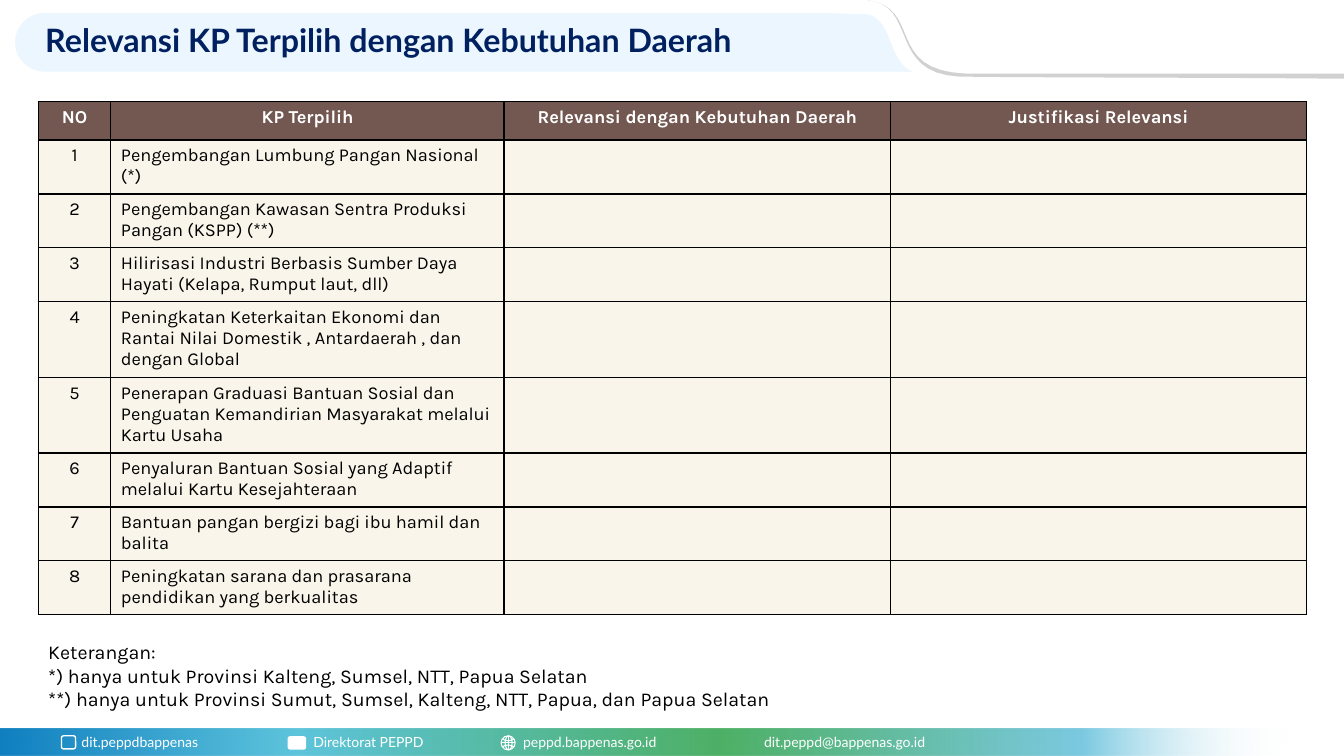
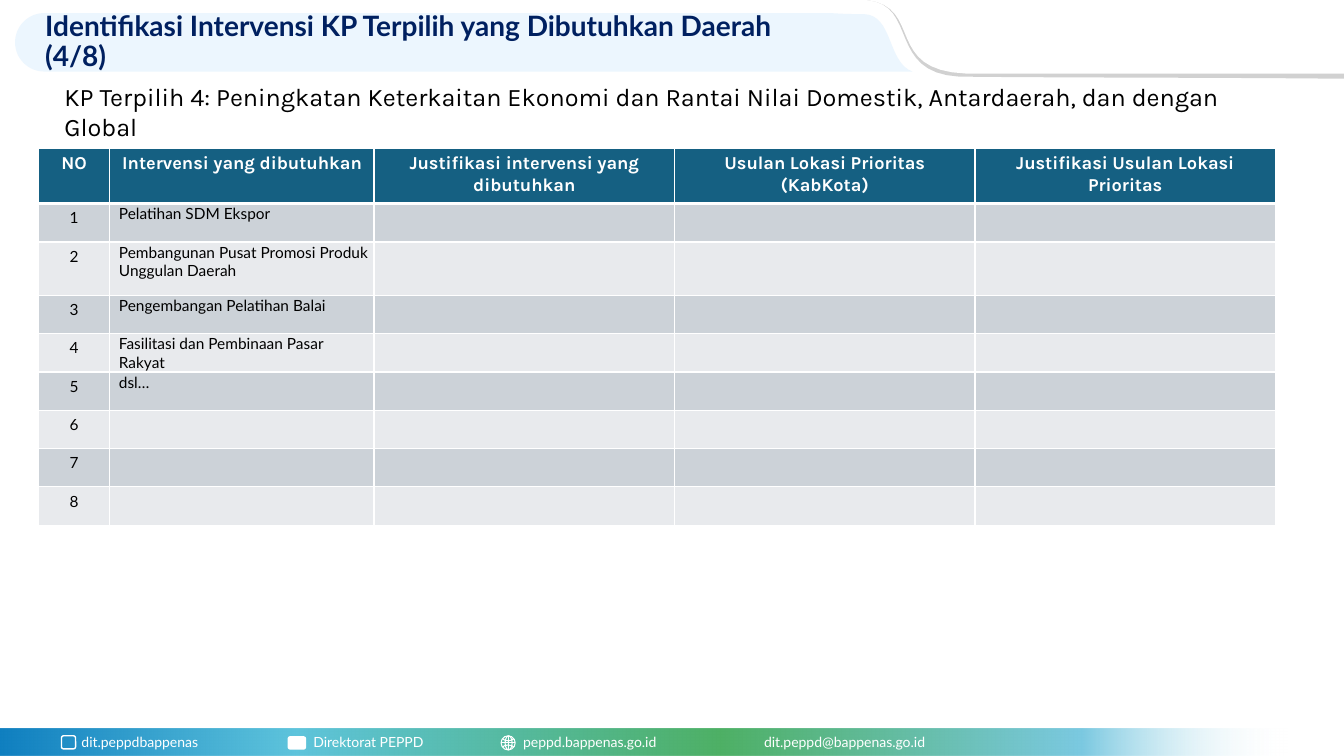
"""Build two slides on selected priority activities and the regional interventions they need."""
from dataclasses import dataclass

from lxml.etree import SubElement
from pptx import Presentation
from pptx.dml.color import RGBColor
from pptx.enum.shapes import MSO_CONNECTOR, MSO_SHAPE
from pptx.enum.text import MSO_ANCHOR, PP_ALIGN
from pptx.oxml.ns import qn
from pptx.shapes.autoshape import Shape
from pptx.slide import Slide
from pptx.table import _Cell
from pptx.util import Pt

PX = 9144
SLIDE_WIDTH, SLIDE_HEIGHT = 1333, 750

WHITE = RGBColor(0xFF, 0xFF, 0xFF)
BLACK = RGBColor(0x00, 0x00, 0x00)
NAVY = RGBColor(0x00, 0x20, 0x60)
PALE_BLUE = RGBColor(0xEC, 0xF6, 0xFE)
GREY = RGBColor(0xD1, 0xD1, 0xD1)
BROWN = RGBColor(0x73, 0x57, 0x51)
CREAM = RGBColor(0xFA, 0xF5, 0xEA)
TEAL = RGBColor(0x15, 0x60, 0x82)
DARK_STRIPE = RGBColor(0xCC, 0xD2, 0xD8)
LIGHT_STRIPE = RGBColor(0xE8, 0xEA, 0xED)

FOOTER_STOPS = (
    (0, RGBColor(0x0F, 0x7F, 0xC0)),
    (23, RGBColor(0x5E, 0xC4, 0xDC)),
    (56, RGBColor(0x4E, 0xB0, 0x65)),
    (84, RGBColor(0x7B, 0xC9, 0xE1)),
    (100, WHITE),
)
FOOTER_TOP, FOOTER_HEIGHT = 723, 27
CURVE_STEPS = 16

Point = tuple[float, float]


@dataclass(frozen=True)
class Box:
    left: int
    top: int
    width: int
    height: int

    def emu(self) -> tuple[int, ...]:
        return tuple(n * PX for n in (self.left, self.top, self.width, self.height))


@dataclass(frozen=True)
class TextStyle:
    font: str
    size: int
    color: RGBColor
    bold: bool = False
    line_spacing: float | None = None


@dataclass(frozen=True)
class Outline:
    """Closed outline whose segments hold one point (line) or three (curve)."""
    color: RGBColor
    start: Point
    segments: tuple[tuple[Point, ...], ...]


@dataclass(frozen=True)
class Contact:
    left: int
    width: int
    text: str


@dataclass(frozen=True)
class TableLook:
    head_fill: RGBColor
    stripes: tuple[RGBColor, ...]
    border: RGBColor
    head_rule: int
    body: TextStyle
    tight_entries: bool = False


@dataclass(frozen=True)
class Grid:
    left: int
    top: int
    columns: tuple[int, ...]
    rows: tuple[int, ...]
    heads: tuple[str, ...]
    entries: tuple[str, ...]
    look: TableLook


HEAD_STYLE = TextStyle("Karla", 13, WHITE, bold=True)
CONTACT_STYLE = TextStyle("Lato", 10, WHITE)

HEADER_OUTLINES = (
    Outline(PALE_BLUE, (824, 13), (
        ((839, 14), (848, 14), (857, 14)),
        ((886, 15), (880, 62), (905, 71)),
        ((44, 71),),
        ((28, 71), (15, 58), (15, 42)),
        ((15, 26), (28, 13), (44, 13)),
    )),
    Outline(GREY, (SLIDE_WIDTH, 0), (
        ((SLIDE_WIDTH, 78),),
        ((1319, 78),),
        ((1218, 77), (1019, 77), (951, 76)),
        ((880, 72), (911, 5), (860, 0)),
    )),
    Outline(WHITE, (SLIDE_WIDTH, 0), (
        ((SLIDE_WIDTH, 73),),
        ((958, 73),),
        ((877, 70), (916, 7), (860, 0)),
    )),
)

CONTACTS = (
    Contact(71, 181, "dit.peppdbappenas"),
    Contact(301, 163, "Direktorat PEPPD"),
    Contact(509, 205, "peppd.bappenas.go.id"),
    Contact(748, 244, "dit.peppd@bappenas.go.id"),
)

RELEVANCE = Grid(
    38, 101, (72, 390, 383, 413), (38, 52, 52, 52, 73, 73, 52, 52, 52),
    ("NO", "KP Terpilih", "Relevansi dengan Kebutuhan Daerah", "Justifikasi Relevansi"),
    (
        "Pengembangan Lumbung Pangan Nasional (*)",
        "Pengembangan Kawasan Sentra Produksi Pangan (KSPP) (**)",
        "Hilirisasi Industri Berbasis Sumber Daya Hayati (Kelapa, Rumput laut, dll)",
        "Peningkatan Keterkaitan Ekonomi dan Rantai Nilai Domestik , Antardaerah , dan dengan Global",
        "Penerapan Graduasi Bantuan Sosial dan Penguatan Kemandirian Masyarakat melalui Kartu Usaha",
        "Penyaluran Bantuan Sosial yang Adaptif melalui Kartu Kesejahteraan",
        "Bantuan pangan bergizi bagi ibu hamil dan balita",
        "Peningkatan sarana dan prasarana pendidikan yang berkualitas",
    ),
    TableLook(BROWN, (CREAM,), BLACK, 1, TextStyle("Karla", 13, BLACK)),
)

INTERVENTIONS = Grid(
    38, 147, (71, 262, 298, 298, 298), (55, 38, 53, 38, 38, 38, 38, 38, 38),
    (
        "NO",
        "Intervensi yang dibutuhkan",
        "Justifikasi intervensi yang dibutuhkan",
        "Usulan Lokasi Prioritas (KabKota)",
        "Justifikasi Usulan Lokasi Prioritas",
    ),
    (
        "Pelatihan SDM Ekspor",
        "Pembangunan Pusat Promosi Produk Unggulan Daerah",
        "Pengembangan Pelatihan Balai",
        "Fasilitasi dan Pembinaan Pasar Rakyat",
        "dsl…",
        "",
        "",
        "",
    ),
    TableLook(TEAL, (DARK_STRIPE, LIGHT_STRIPE), WHITE, 3,
              TextStyle("Lato", 11, BLACK), tight_entries=True),
)


def style_paragraph(paragraph, style: TextStyle) -> None:
    if style.line_spacing:
        paragraph.line_spacing = style.line_spacing
    paragraph.font.name = style.font
    paragraph.font.size = Pt(style.size)
    paragraph.font.bold = style.bold
    paragraph.font.color.rgb = style.color


def add_text(slide: Slide, box: Box, lines: tuple[str, ...], style: TextStyle,
             anchor: MSO_ANCHOR = MSO_ANCHOR.TOP) -> None:
    frame = slide.shapes.add_textbox(*box.emu()).text_frame
    frame.word_wrap = True
    frame.vertical_anchor = anchor
    frame.text = "\n".join(lines)
    for paragraph in frame.paragraphs:
        style_paragraph(paragraph, style)


def curve_points(start: Point, first: Point, second: Point, end: Point) -> list[Point]:
    points = []
    for step in range(1, CURVE_STEPS + 1):
        t = step / CURVE_STEPS
        weights = ((1 - t) ** 3, 3 * t * (1 - t) ** 2, 3 * t * t * (1 - t), t ** 3)
        corners = (start, first, second, end)
        points.append((sum(w * c[0] for w, c in zip(weights, corners)),
                       sum(w * c[1] for w, c in zip(weights, corners))))
    return points


def add_outline(slide: Slide, outline: Outline) -> None:
    points = [outline.start]
    for segment in outline.segments:
        points += curve_points(points[-1], *segment) if len(segment) == 3 else segment
    scaled = [(x * PX, y * PX) for x, y in points]
    builder = slide.shapes.build_freeform(*scaled[0])
    builder.add_line_segments(scaled[1:], close=True)
    shape = builder.convert_to_shape()
    shape.shadow.inherit = False
    shape.fill.solid()
    shape.fill.fore_color.rgb = outline.color
    shape.line.fill.background()


def add_icon_part(slide: Slide, kind: MSO_SHAPE, box: Box, line_width: float,
                  filled: bool = False) -> Shape:
    shape = slide.shapes.add_shape(kind, *box.emu())
    shape.shadow.inherit = False
    if filled:
        shape.fill.solid()
        shape.fill.fore_color.rgb = WHITE
    else:
        shape.fill.background()
    shape.line.color.rgb = WHITE
    shape.line.width = Pt(line_width)
    return shape


def add_globe(slide: Slide) -> None:
    for box in (Box(497, 730, 14, 14), Box(501, 730, 7, 14)):
        add_icon_part(slide, MSO_SHAPE.OVAL, box, 0.75)
    for top, rotation in ((737, 270), (723, 90)):
        latitude = add_icon_part(slide, MSO_SHAPE.ARC, Box(499, top, 10, 14), 0.75)
        latitude.adjustments[0] = 179.02
        latitude.adjustments[1] = 37.2
        latitude.rotation = rotation
    for ends in ((497, 737, 511, 737), (504, 730, 504, 744)):
        axis = slide.shapes.add_connector(MSO_CONNECTOR.STRAIGHT, *(n * PX for n in ends))
        axis.line.color.rgb = WHITE
        axis.line.width = Pt(0.75)
        SubElement(axis.element.spPr, qn("a:effectLst"))


def add_footer(slide: Slide) -> None:
    band = slide.shapes.add_shape(
        MSO_SHAPE.RECTANGLE, *Box(0, FOOTER_TOP, 1277, FOOTER_HEIGHT).emu())
    band.shadow.inherit = False
    band.line.fill.background()
    band.fill.gradient()
    band.fill.gradient_angle = 0
    stops = band.element.spPr.find(qn("a:gradFill")).find(qn("a:gsLst"))
    for stop in list(stops):
        stops.remove(stop)
    for percent, color in FOOTER_STOPS:
        stop = SubElement(stops, qn("a:gs"), pos=str(percent * 1000))
        tint = SubElement(stop, qn("a:srgbClr"), val=str(color))
        if percent == 100:
            SubElement(tint, qn("a:alpha"), val="0")
    add_icon_part(slide, MSO_SHAPE.ROUNDED_RECTANGLE, Box(61, 730, 14, 13), 1)
    add_icon_part(slide, MSO_SHAPE.ROUNDED_RECTANGLE, Box(286, 731, 17, 12), 1, filled=True)
    add_globe(slide)
    for contact in CONTACTS:
        box = Box(contact.left, FOOTER_TOP, contact.width, FOOTER_HEIGHT)
        add_text(slide, box, (contact.text,), CONTACT_STYLE)


def set_borders(cell: _Cell, color: RGBColor, widths: dict[str, int]) -> None:
    properties = cell._tc.get_or_add_tcPr()
    for index, (side, width) in enumerate(widths.items()):
        border = properties.makeelement(qn(f"a:{side}"), {"w": str(Pt(width))})
        fill = SubElement(border, qn("a:solidFill"))
        SubElement(fill, qn("a:srgbClr"), val=str(color))
        properties.insert(index, border)


def add_grid(slide: Slide, grid: Grid) -> None:
    look = grid.look
    box = Box(grid.left, grid.top, sum(grid.columns), sum(grid.rows))
    table = slide.shapes.add_table(len(grid.rows), len(grid.columns), *box.emu()).table
    table.first_row = table.horz_banding = False
    for column, width in zip(table.columns, grid.columns):
        column.width = width * PX
    blanks = ("",) * (len(grid.columns) - 2)
    body = [(str(n), entry, *blanks) for n, entry in enumerate(grid.entries, 1)]
    for r, (height, texts) in enumerate(zip(grid.rows, [grid.heads, *body])):
        table.rows[r].height = height * PX
        for c, text in enumerate(texts):
            cell = table.cell(r, c)
            cell.text = text
            cell.fill.solid()
            cell.fill.fore_color.rgb = (
                look.stripes[(r - 1) % len(look.stripes)] if r else look.head_fill)
            set_borders(cell, look.border, {
                "lnL": 1, "lnR": 1,
                "lnT": look.head_rule if r == 1 else 1,
                "lnB": 1 if r else look.head_rule,
            })
            paragraph = cell.text_frame.paragraphs[0]
            style_paragraph(paragraph, look.body if r else HEAD_STYLE)
            if not text:
                SubElement(paragraph._p, qn("a:endParaRPr"), sz=str(look.body.size * 100))
            if r == 0 or c == 0:
                paragraph.alignment = PP_ALIGN.CENTER
            elif c == 1 and look.tight_entries:
                cell.margin_left = 9 * PX
                cell.margin_top = cell.margin_right = PX
                cell.margin_bottom = 0


def add_page(presentation: Presentation, title: str, title_size: int, grid: Grid,
             remark: tuple[str, ...], remark_box: Box, remark_size: int) -> None:
    slide = presentation.slides.add_slide(presentation.slide_layouts[6])
    for outline in HEADER_OUTLINES:
        add_outline(slide, outline)
    add_footer(slide)
    title_style = TextStyle("Lato", title_size, NAVY, bold=True, line_spacing=0.9)
    add_text(slide, Box(35, 18, 805, 48), (title,), title_style, MSO_ANCHOR.MIDDLE)
    add_grid(slide, grid)
    add_text(slide, remark_box, remark, TextStyle("Karla", remark_size, BLACK))


def main() -> None:
    presentation = Presentation()
    presentation.slide_width = SLIDE_WIDTH * PX
    presentation.slide_height = SLIDE_HEIGHT * PX
    add_page(presentation, "Relevansi KP Terpilih dengan Kebutuhan Daerah", 23, RELEVANCE, (
        "Keterangan:",
        "*) hanya untuk Provinsi Kalteng, Sumsel, NTT, Papua Selatan",
        "**) hanya untuk Provinsi Sumut, Sumsel, Kalteng, NTT, Papua, dan Papua Selatan",
    ), Box(38, 630, 971, 81), 14)
    add_page(presentation, "Identifikasi Intervensi KP Terpilih yang Dibutuhkan Daerah (4/8)", 20,
             INTERVENTIONS, (
        "KP Terpilih 4: Peningkatan Keterkaitan Ekonomi dan Rantai Nilai Domestik, "
        "Antardaerah, dan dengan Global",
    ), Box(54, 76, 1184, 69), 18)
    presentation.save("out.pptx")


if __name__ == "__main__":
    main()
